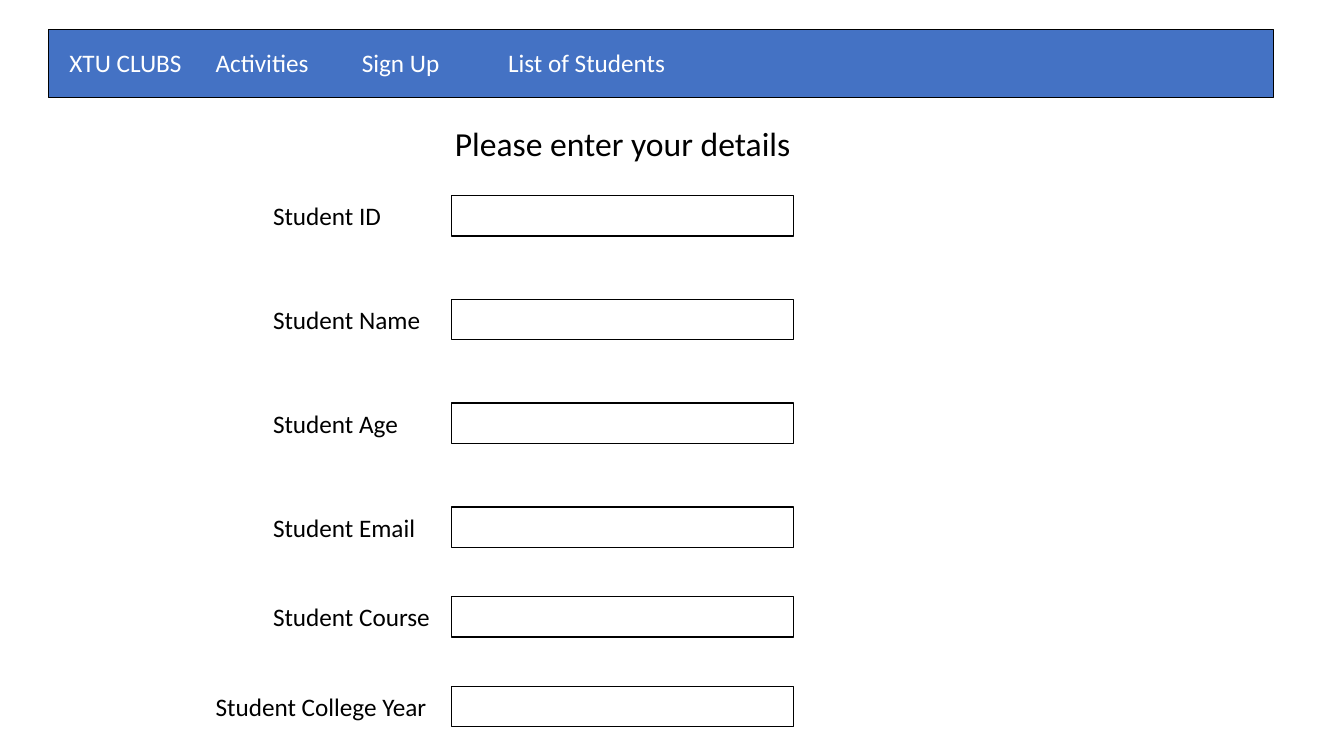
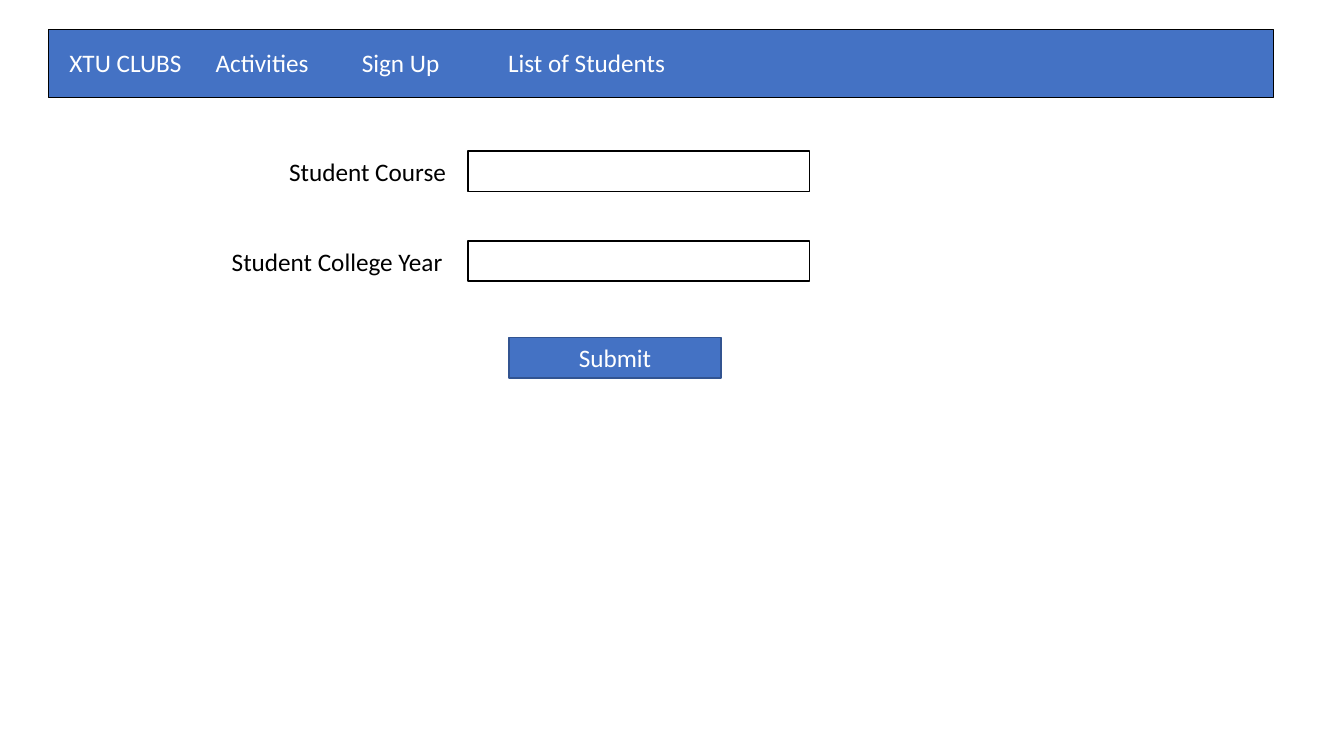
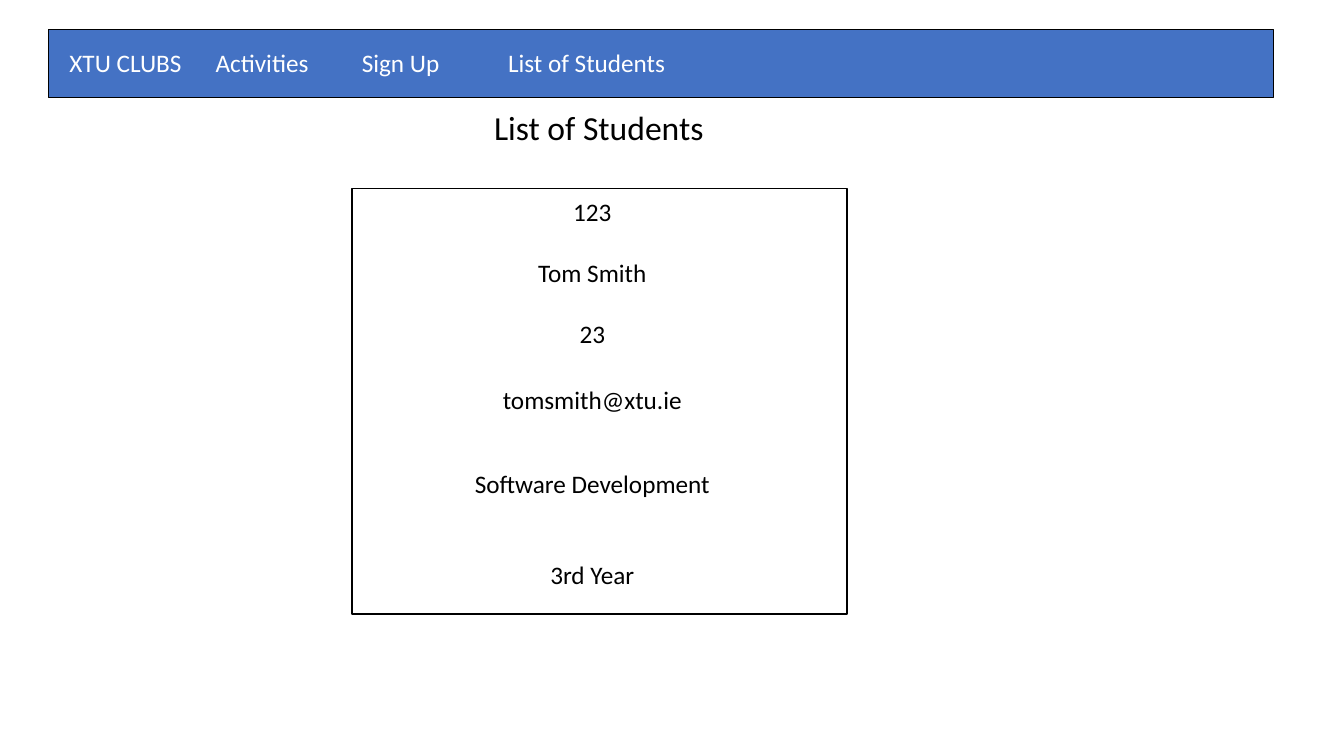
import pptx
import pptx.util
import pptx.dml.color
import pptx.enum.shapes
import pptx.enum.text

SLIDE_WIDTH, SLIDE_HEIGHT = 13.33, 7.5
FONT = "Calibri"
BLUE, DARK_BLUE, BLACK, WHITE = "4472C4", "325491", "000000", "FFFFFF"
ROW_HEIGHT = 0.4
NAV_LEFT, NAV_TOP, NAV_COLUMN = 0.59, 0.42, 1.45
NAV_ITEMS = ["XTU CLUBS", "Activities", "Sign Up", "List of Students"]
FIELD_WIDTH = 3.39
LABEL_WIDTH, LONG_LABEL_WIDTH, LONG_LABEL_OFFSET = 1.87, 2.32, 2.44
WIDE_PITCH, CLOSE_PITCH = 1.03, 0.89
TITLE_ONLY, BLANK = 5, 6
LEFT = pptx.enum.text.PP_ALIGN.LEFT
CENTER = pptx.enum.text.PP_ALIGN.CENTER


def color(hex_value):
    return pptx.dml.color.RGBColor.from_string(hex_value)


def inches(*lengths):
    return [pptx.util.Inches(length) for length in lengths]


def write(holder, text, size, hex_value, align, anchor):
    frame = holder.text_frame
    frame.word_wrap = True
    frame.vertical_anchor = anchor
    paragraph = frame.paragraphs[0]
    paragraph.text = text
    paragraph.alignment = align
    paragraph.font.name = FONT
    paragraph.font.size = pptx.util.Pt(size)
    paragraph.font.color.rgb = color(hex_value)


def add_label(shapes, text, left, top, width, hex_value=BLACK, align=LEFT):
    label = shapes.add_textbox(*inches(left, top, width, ROW_HEIGHT))
    write(label, text, 18, hex_value, align, pptx.enum.text.MSO_ANCHOR.TOP)


def add_box(shapes, left, top, width, height, fill=WHITE, outline=BLACK):
    box = shapes.add_shape(pptx.enum.shapes.MSO_SHAPE.RECTANGLE,
                           *inches(left, top, width, height))
    box.shadow.inherit = False
    box.fill.solid()
    box.fill.fore_color.rgb = color(fill)
    box.line.color.rgb = color(outline)
    box.line.width = pptx.util.Pt(1)
    return box


def add_title(slide, text, left, top, width):
    title = slide.shapes.title
    title.left, title.top, title.width, title.height = inches(left, top, width, 0.5)
    write(title, text, 24, BLACK, CENTER, pptx.enum.text.MSO_ANCHOR.TOP)


def add_page(deck, layout):
    slide = deck.slides.add_slide(deck.slide_layouts[layout])
    add_box(slide.shapes, 0.48, 0.29, 12.15, 0.68, BLUE)
    for column, item in enumerate(NAV_ITEMS):
        width = 1.89 if item == NAV_ITEMS[-1] else NAV_COLUMN
        add_label(slide.shapes, item, NAV_LEFT + column * NAV_COLUMN, NAV_TOP, width, WHITE)
    return slide


def add_field(shapes, caption, left, top):
    add_box(shapes, left, top, FIELD_WIDTH, ROW_HEIGHT)
    add_label(shapes, caption, left - LABEL_WIDTH, top, LABEL_WIDTH)


def add_course_fields(shapes, left, top):
    add_field(shapes, "Student Course", left, top)
    year_top = top + CLOSE_PITCH
    add_box(shapes, left, year_top, FIELD_WIDTH, ROW_HEIGHT)
    add_label(shapes, "Student College Year", left - LONG_LABEL_OFFSET, year_top,
              LONG_LABEL_WIDTH)


def build_details_form(deck):
    slide = add_page(deck, TITLE_ONLY)
    add_title(slide, "Please enter your details", 3.19, 1.17, 5.97)
    left, top = 4.48, 1.94
    captions = ["Student ID", "Student Name", "Student Age", "Student Email"]
    for row, caption in enumerate(captions):
        add_field(slide.shapes, caption, left, top + row * WIDE_PITCH)
    add_course_fields(slide.shapes, left, top + 3 * WIDE_PITCH + CLOSE_PITCH)


def build_submit_form(deck):
    slide = add_page(deck, BLANK)
    add_course_fields(slide.shapes, 4.64, 1.5)
    submit = add_box(slide.shapes, 5.05, 3.35, 2.1, ROW_HEIGHT, BLUE, DARK_BLUE)
    write(submit, "Submit", 18, WHITE, CENTER, pptx.enum.text.MSO_ANCHOR.MIDDLE)


def build_student_list(deck):
    slide = add_page(deck, TITLE_ONLY)
    add_title(slide, "List of Students", 3.63, 1.01, 4.62)
    record = slide.shapes.add_group_shape()
    add_box(record.shapes, 3.49, 1.87, 4.91, 4.22)
    details = [("123", 1.9), ("Tom Smith", 2.5), ("23", 3.11),
               ("tomsmith@xtu.ie", 3.76), ("Software Development", 4.6),
               ("3rd Year", 5.5)]
    for detail, top in details:
        add_label(record.shapes, detail, 3.36, top, 5.03, align=CENTER)


def main():
    deck = pptx.Presentation()
    deck.slide_width, deck.slide_height = inches(SLIDE_WIDTH, SLIDE_HEIGHT)
    build_details_form(deck)
    build_submit_form(deck)
    build_student_list(deck)
    deck.save("out.pptx")


if __name__ == "__main__":
    main()
